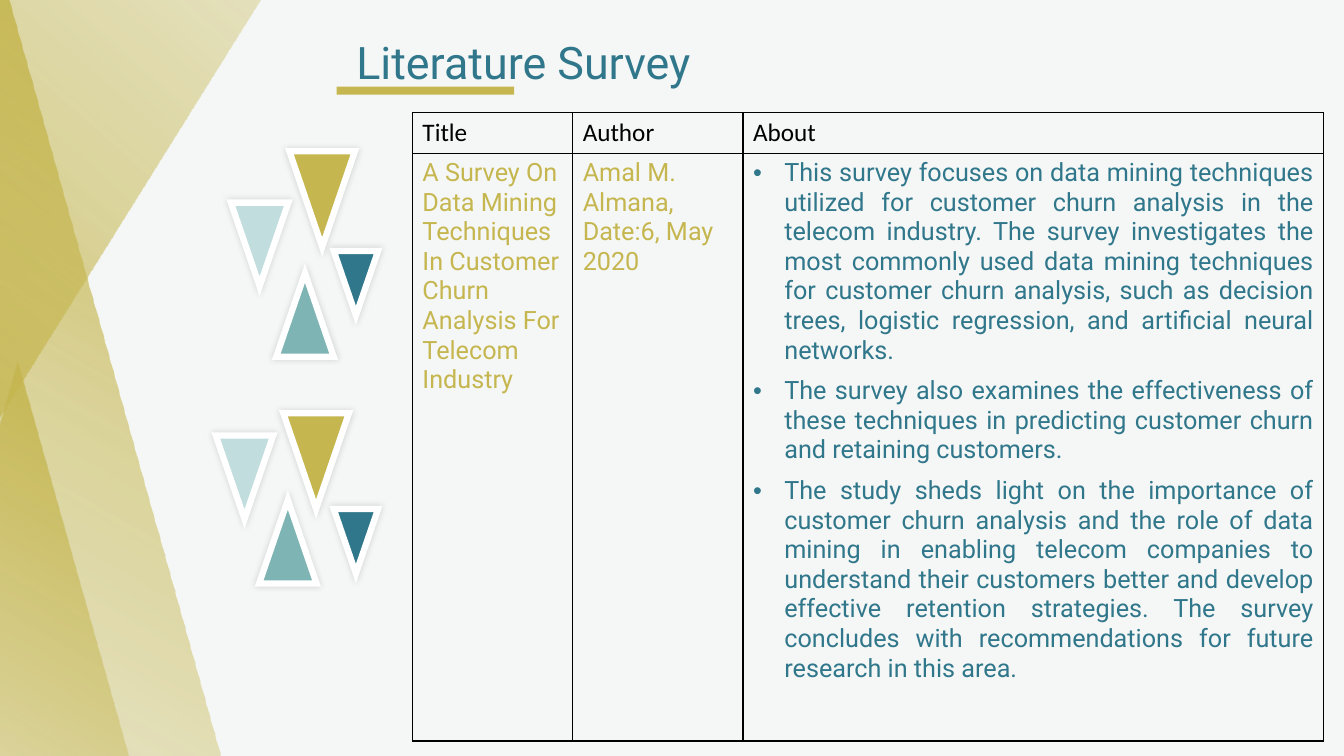
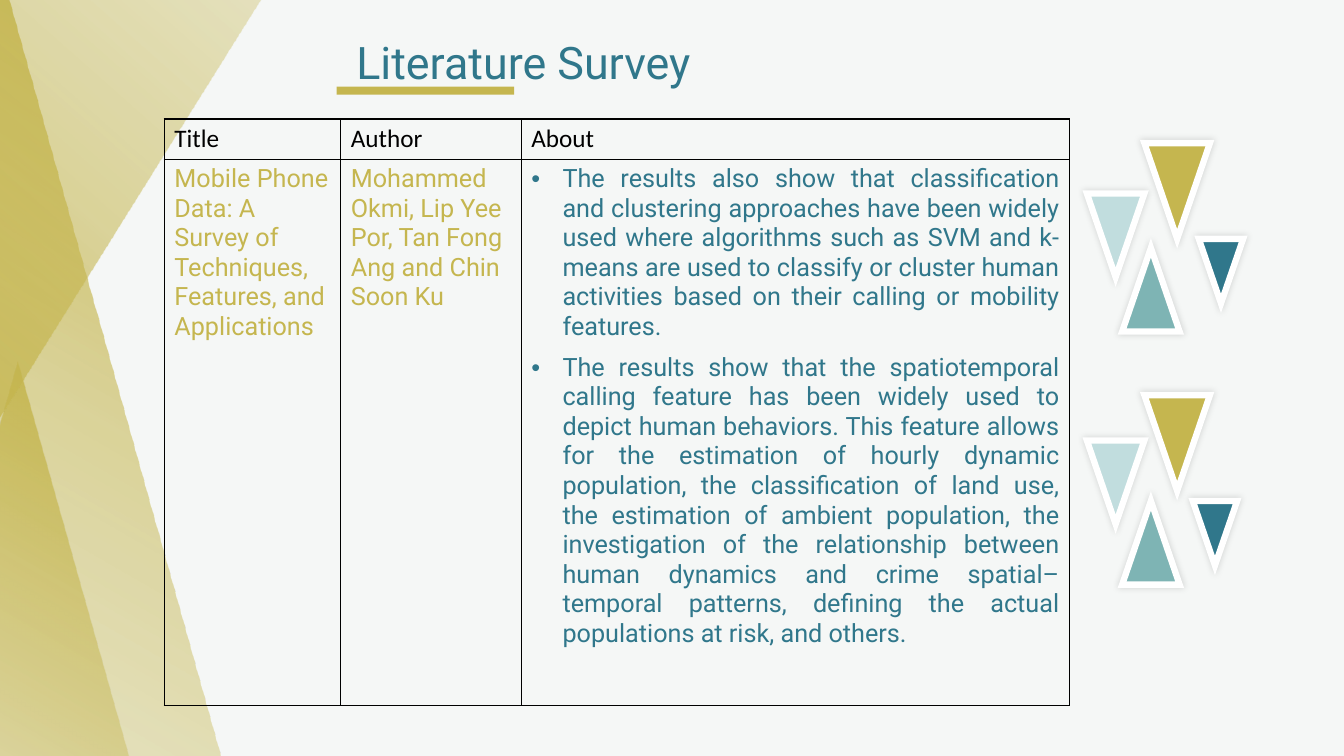
import pptx
import pptx.util
import pptx.dml.color
import pptx.enum.shapes
import pptx.enum.text
import pptx.oxml.ns
from lxml import etree

Inches = pptx.util.Inches
Pt = pptx.util.Pt
SHAPE = pptx.enum.shapes.MSO_SHAPE
ALIGN = pptx.enum.text.PP_ALIGN

PAPER, GOLD, BLUE = "F5F7F6", "C5B64F", "30778B"
TEAL, MIST, WHITE, BLACK = "7EB4B4", "C1DDDE", "FFFFFF", "000000"
FONT, HEAD = "Roboto", "Calibri"

# left, top, width, height, rotation
BANDS = [
    (-1, 3.59, 2.34, 4.16, 0),
    (-2.19, -0.32, 4.38, 7.82, 0),
    (-1.74, -1.16, 4.21, 5.69, 191.6),
]
FADE = [(0, 100), (50, 55), (100, 23)]  # position, opacity in percent
# width, height, rotation, colour
TIPS = [
    (0.57, 0.83, 0, TEAL),
    (0.57, 0.83, 180, MIST),
    (0.44, 0.64, 180, BLUE),
    (0.65, 0.95, 180, GOLD),
]

PAGES = [
    {
        "table": (4.09, 1.12),
        "cols": (1.59, 1.69, 5.76),
        "rows": (0.4, 5.83),
        "title": ["A Survey On Data Mining Techniques In Customer Churn",
                  "Analysis For Telecom Industry"],
        "author": ["Amal M. Almana, Date:6, May 2020"],
        "about": [
            "This survey focuses on data mining techniques utilized for "
            "customer churn analysis in the telecom industry. The survey "
            "investigates the most commonly used data mining techniques for "
            "customer churn analysis, such as decision trees, logistic "
            "regression, and artificial neural networks.",
            "The survey also examines the effectiveness of these techniques "
            "in predicting customer churn and retaining customers.",
            "The study sheds light on the importance of customer churn "
            "analysis and the role of data mining in enabling telecom "
            "companies to understand their customers better and develop "
            "effective retention strategies. The survey concludes with "
            "recommendations for future research in this area.",
        ],
        # origin of each cluster, then one offset per tip
        "tips": [
            ((2.29, 1.5), [(0.45, 1.21), (0, 0.51), (1.02, 0.99), (0.58, 0)]),
            ((2.14, 4.1), [(0.43, 0.86), (0, 0.22), (1.17, 0.95), (0.67, 0)]),
        ],
    },
    {
        "table": (1.63, 1.18),
        "cols": (1.75, 1.79, 5.44),
        "rows": (0.4, 5.42),
        "title": ["Mobile Phone Data: A Survey of Techniques, Features, and "
                  "Applications"],
        "author": ["Mohammed Okmi, Lip Yee Por, Tan Fong Ang and Chin Soon Ku"],
        "about": [
            "The results also show that classification and clustering "
            "approaches have been widely used where algorithms such as SVM "
            "and k-means are used to classify or cluster human activities "
            "based on their calling or mobility features.",
            "The results show that the spatiotemporal calling feature has "
            "been widely used to depict human behaviors. This feature allows "
            "for the estimation of hourly dynamic population, the "
            "classification of land use, the estimation of ambient "
            "population, the investigation of the relationship between human "
            "dynamics and crime spatial–temporal patterns, defining the "
            "actual populations at risk, and others.",
        ],
        "tips": [
            ((10.78, 1.42), [(0.35, 1.04), (0, 0.5), (1.11, 0.95), (0.57, 0)]),
            ((10.78, 3.92), [(0.35, 1.05), (0, 0.45), (1.05, 1.05), (0.57, 0)]),
        ],
    },
]


def rgb(code):
    return pptx.dml.color.RGBColor.from_string(code)


def node(parent, tag, **attrs):
    """Append a DrawingML element to parent."""
    name = pptx.oxml.ns.qn("a:" + tag)
    return etree.SubElement(parent, name, {k: str(v) for k, v in attrs.items()})


def tint(parent, code, alpha=100):
    """Append a colour with its opacity in percent."""
    item = node(parent, "srgbClr", val=code)
    if alpha < 100:
        node(item, "alpha", val=alpha * 1000)


def shape(slide, kind, box, code, turn=0):
    item = slide.shapes.add_shape(kind, *map(Inches, box))
    item.rotation = turn
    item.fill.solid()
    item.fill.fore_color.rgb = rgb(code)
    item.line.fill.background()
    item.shadow.inherit = False
    return item


def style(para, font, size, code):
    for run in para.runs:
        run.font.name = font
        run.font.size = Pt(size)
        run.font.bold = False
        run.font.color.rgb = rgb(code)


def bands(slide):
    """Fading gold triangles along the left edge."""
    for *box, turn in BANDS:
        item = shape(slide, SHAPE.ISOSCELES_TRIANGLE, box, GOLD, turn)
        item.fill.gradient()
        item.fill.gradient_angle = 240
        stops = item._element.spPr.find(".//" + pptx.oxml.ns.qn("a:gsLst"))
        for stop in list(stops):
            stops.remove(stop)
        for pos, alpha in FADE:
            tint(node(stops, "gs", pos=pos * 1000), GOLD, alpha)


def title(slide, left, top):
    box = slide.shapes.add_textbox(
        Inches(left), Inches(top), Inches(3.75), Inches(0.64))
    frame = box.text_frame
    frame.word_wrap = True
    frame.auto_size = pptx.enum.text.MSO_AUTO_SIZE.SHAPE_TO_FIT_TEXT
    frame.text = "Literature Survey"
    para = frame.paragraphs[0]
    para.alignment = ALIGN.RIGHT
    style(para, FONT, 32, BLUE)
    shape(slide, SHAPE.RECTANGLE, (left + 0.14, top + 0.56, 1.76, 0.08), GOLD)


def cluster(slide, left, top, spots):
    """Four white-edged triangles, at offsets from left and top."""
    for (x, y), (wide, high, turn, code) in zip(spots, TIPS):
        item = shape(slide, SHAPE.ISOSCELES_TRIANGLE,
                     (left + x, top + y, wide, high), code, turn)
        item.line.color.rgb = rgb(WHITE)
        item.line.width = Pt(4.5)
        props = item._element.spPr
        node(props.find(pptx.oxml.ns.qn("a:ln")), "miter", lim=800000)
        glow = node(props.find(pptx.oxml.ns.qn("a:effectLst")), "outerShdw",
                    blurRad=Pt(5), dist=0, dir=0, algn="ctr", rotWithShape=0)
        tint(glow, BLACK, 15)


def border(cell):
    """Thin black lines on all sides and no fill."""
    props = cell._tc.get_or_add_tcPr()
    for side in ("lnL", "lnR", "lnT", "lnB"):
        tint(node(node(props, side, w=Pt(1)), "solidFill"), BLACK)
    cell.fill.background()


def bullet(para):
    para.alignment = ALIGN.JUSTIFY
    para.space_after = Pt(8)
    props = para._p.get_or_add_pPr()
    props.set("marL", str(Inches(0.31)))
    props.set("indent", str(-Inches(0.31)))
    node(props, "buFont", typeface="Arial")
    node(props, "buChar", char="•")


def survey(slide, left, top, page):
    cols, rows = page["cols"], page["rows"]
    grid = slide.shapes.add_table(
        2, 3, Inches(left), Inches(top),
        Inches(sum(cols)), Inches(sum(rows))).table
    grid.first_row = grid.horz_banding = False
    for row, high in zip(grid.rows, rows):
        row.height = Inches(high)
    for col, wide in enumerate(cols):
        grid.columns[col].width = Inches(wide)
        name = ("Title", "Author", "About")[col]
        listed = name == "About"
        code = BLUE if listed else GOLD
        parts = [([name], HEAD, BLACK), (page[name.lower()], FONT, code)]
        for row, (lines, font, ink) in enumerate(parts):
            cell = grid.cell(row, col)
            border(cell)
            cell.text_frame.text = "\n".join(lines)
            for para in cell.text_frame.paragraphs:
                style(para, font, 18, ink)
                if listed and row:
                    bullet(para)


def build(deck, page):
    slide = deck.slides.add_slide(deck.slide_layouts[6])
    bands(slide)
    title(slide, 3.2, 0.3)
    for start, spots in page["tips"]:
        cluster(slide, *start, spots)
    survey(slide, *page["table"], page)


def main():
    deck = pptx.Presentation()
    deck.slide_width, deck.slide_height = Inches(13.33), Inches(7.5)
    back = deck.slide_master.background.fill
    back.solid()
    back.fore_color.rgb = rgb(PAPER)
    for page in PAGES:
        build(deck, page)
    deck.save("out.pptx")


if __name__ == "__main__":
    main()
